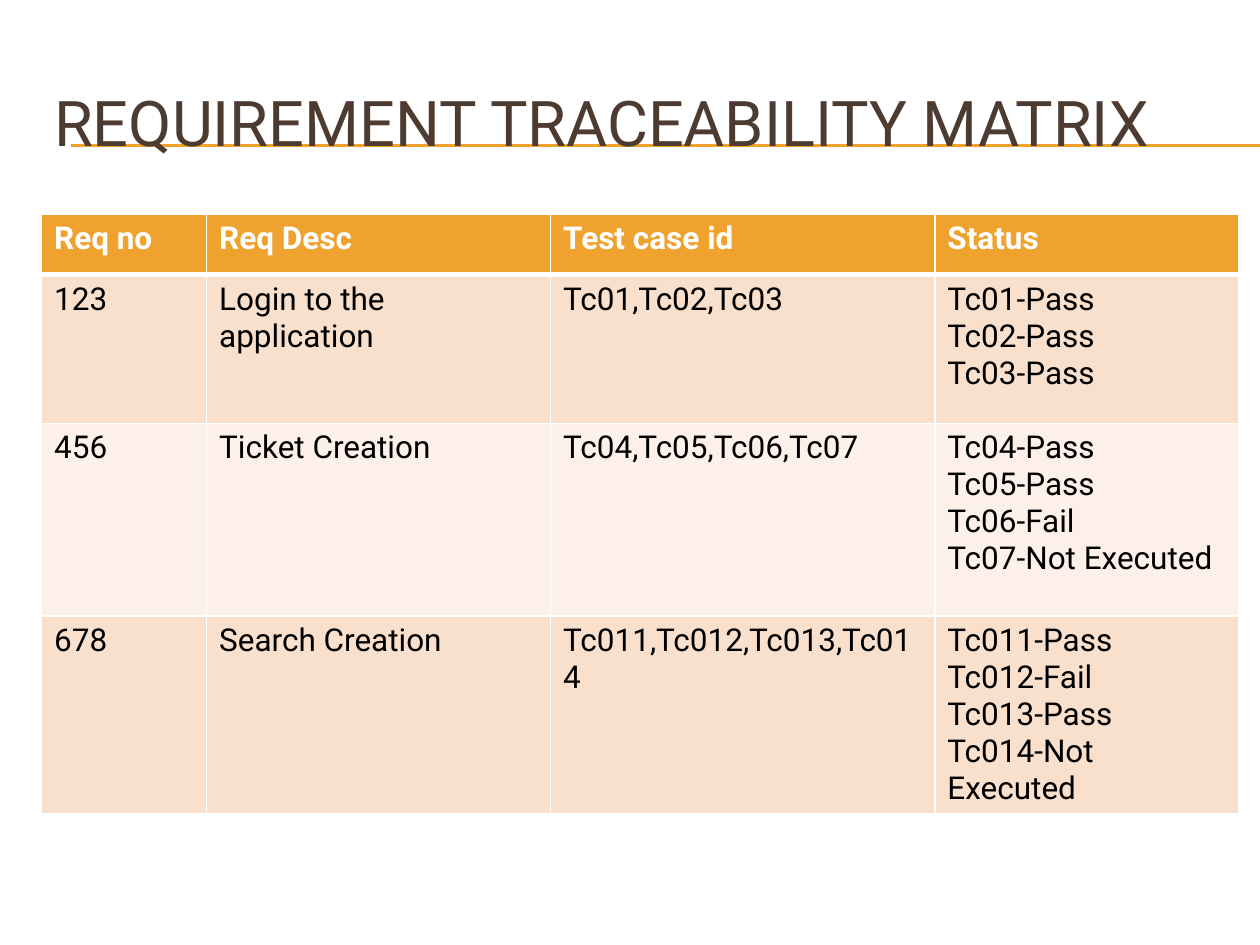
from lxml import etree
from pptx import Presentation
from pptx.dml.color import RGBColor
from pptx.enum.shapes import MSO_CONNECTOR
from pptx.enum.text import MSO_ANCHOR, MSO_AUTO_SIZE, PP_ALIGN
from pptx.oxml.ns import qn
from pptx.util import Inches, Pt

STRAIGHT = MSO_CONNECTOR.STRAIGHT
MIDDLE = MSO_ANCHOR.MIDDLE
LEFT = PP_ALIGN.LEFT
NO_FIT = MSO_AUTO_SIZE.NONE
TITLE_ONLY = 5

FONT = "Roboto"
ORANGE, BROWN, WHITE, BLACK = "F0A22E", "4E3B30", "FFFFFF", "000000"
BANDS = ["F9E0CD", "FCF0E8"]

COLS = [1.31, 2.73, 3.05, 2.41]
ROWS = [0.48, 1.18, 1.53, 1.53]
HEAD = ["Req no", "Req Desc", "Test case id", "Status"]
BODY = [
    ["123", "Login to the application", "Tc01,Tc02,Tc03",
     "Tc01-Pass\nTc02-Pass\nTc03-Pass"],
    ["456", "Ticket Creation", "Tc04,Tc05,Tc06,Tc07",
     "Tc04-Pass\nTc05-Pass\nTc06-Fail\nTc07-Not Executed"],
    ["678", "Search Creation", "Tc011,Tc012,Tc013,Tc014",
     "Tc011-Pass\nTc012-Fail\nTc013-Pass\nTc014-Not Executed"],
]


def color(code):
    return RGBColor.from_string(code)


def write(frame, text, size=18, ink=BLACK, bold=False):
    """Fill a text frame, one paragraph for each line of text."""
    frame.text = text
    for para in frame.paragraphs:
        para.alignment = LEFT
        for run in para.runs:
            font = run.font
            font.name, font.size, font.bold = FONT, Pt(size), bold
            font.color.rgb = color(ink)


def add_title(slide, text):
    title = slide.shapes.title
    title.left, title.top = Inches(0.33), Inches(0.5)
    title.width, title.height = Inches(9.5), Inches(0.92)
    frame = title.text_frame
    frame.vertical_anchor = MIDDLE
    frame.auto_size = NO_FIT
    write(frame, text, size=36, ink=BROWN)


def add_rule(slide, y):
    """Draw a thin rule to the right edge, behind the title."""
    rule = slide.shapes.add_connector(
        STRAIGHT, Inches(0.56), Inches(y), Inches(10), Inches(y))
    rule.line.color.rgb = color(ORANGE)
    rule.line.width = Pt(0.75)
    etree.SubElement(rule._element.spPr, qn("a:effectLst"))
    slide.shapes._spTree.insert(2, rule._element)


def add_edge(cell, side, width):
    props = cell._tc.get_or_add_tcPr()
    line = etree.SubElement(props, qn("a:ln" + side), w=str(Pt(width)))
    fill = etree.SubElement(line, qn("a:solidFill"))
    etree.SubElement(fill, qn("a:srgbClr"), val=WHITE)


def style_cell(cell, fill, top=1, base=1):
    # Edges come before the fill in the cell properties
    for side, width in zip("LRTB", (1, 1, top, base)):
        add_edge(cell, side, width)
    cell.fill.solid()
    cell.fill.fore_color.rgb = color(fill)


def add_matrix(slide):
    table = slide.shapes.add_table(
        len(ROWS), len(COLS), Inches(0.33), Inches(1.7),
        Inches(sum(COLS)), Inches(sum(ROWS))).table
    for col, width in zip(table.columns, COLS):
        col.width = Inches(width)
    for row, height in zip(table.rows, ROWS):
        row.height = Inches(height)

    # Header row with a heavy lower edge
    for cell, text in zip(table.rows[0].cells, HEAD):
        write(cell.text_frame, text, ink=WHITE, bold=True)
        style_cell(cell, ORANGE, base=3)

    # Banded body rows
    for r, texts in enumerate(BODY):
        for cell, text in zip(table.rows[r + 1].cells, texts):
            write(cell.text_frame, text)
            style_cell(cell, BANDS[r % 2], top=1 if r else 3)


def main():
    deck = Presentation()
    deck.slide_width, deck.slide_height = Inches(10), Inches(7.5)
    slide = deck.slides.add_slide(deck.slide_layouts[TITLE_ONLY])
    add_title(slide, "REQUIREMENT TRACEABILITY MATRIX")
    for y in (1.15, 1.16):
        add_rule(slide, y)
    add_matrix(slide)
    deck.save("out.pptx")


if __name__ == "__main__":
    main()
